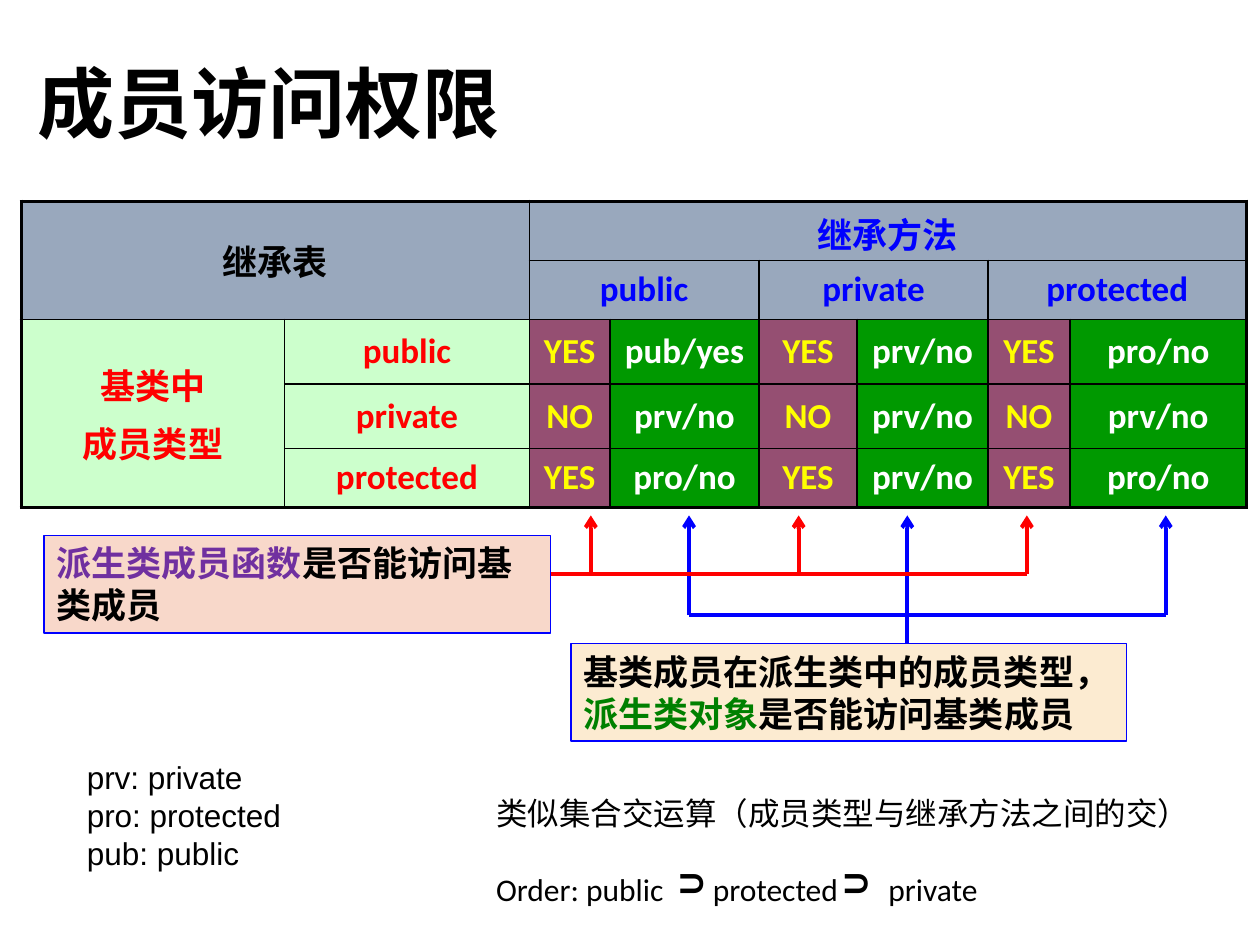
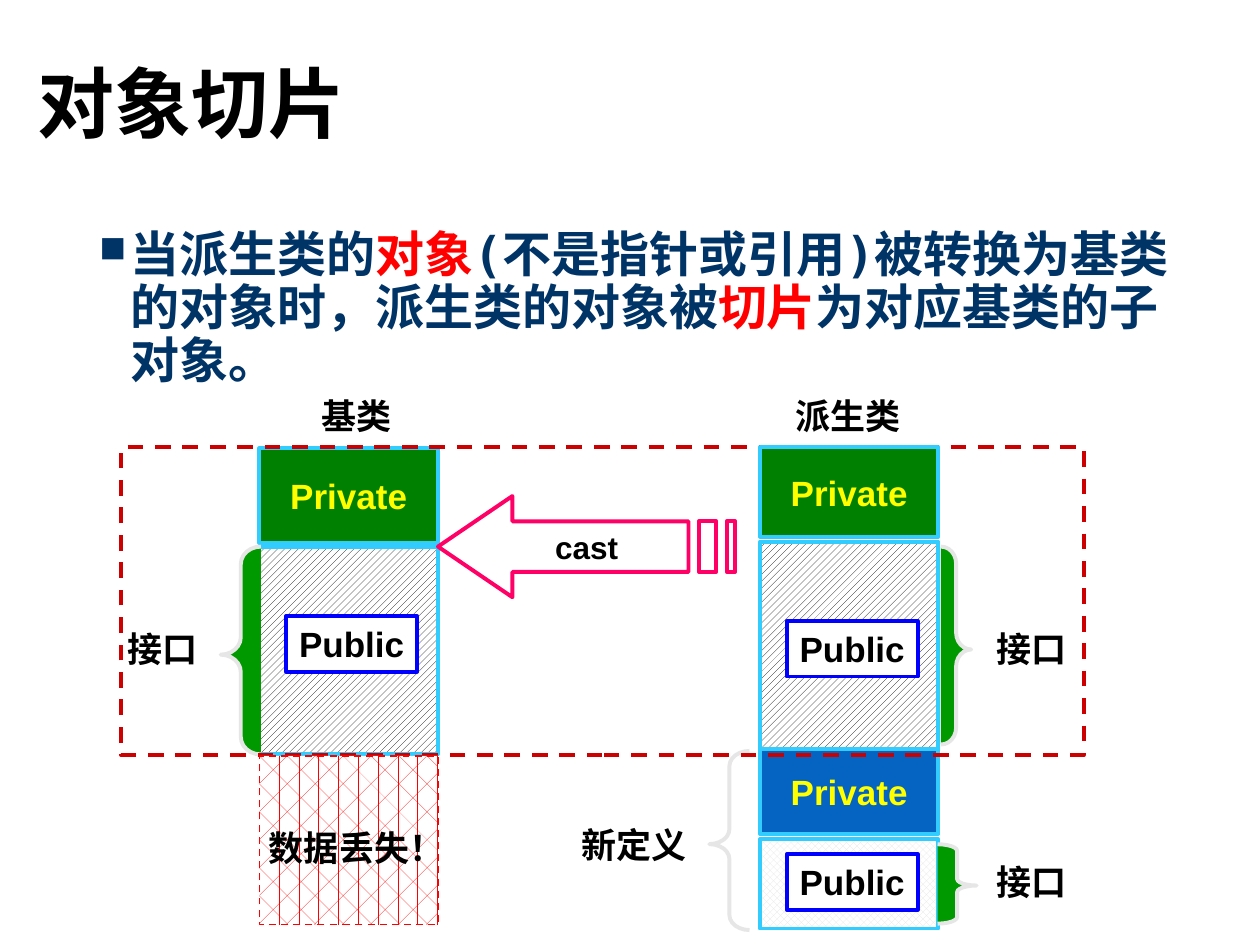
from lxml.etree import SubElement as Sub
from pptx import Presentation
from pptx.dml.color import RGBColor as Rgb
from pptx.enum.dml import MSO_LINE as Dash, MSO_PATTERN as Pat
from pptx.enum.shapes import MSO_CONNECTOR as Conn, MSO_SHAPE as Form
from pptx.enum.text import MSO_ANCHOR as Anchor, MSO_AUTO_SIZE as Auto, PP_ALIGN as Align
from pptx.oxml.ns import qn
from pptx.util import Cm, Pt

HUE = {
    "black": "000000", "white": "FFFFFF", "red": "FF0000", "blue": "0000FF",
    "yellow": "FFFF00", "navy": "003366", "purple": "7030A0", "leaf": "008000",
    "green": "009900", "mint": "CCFFCC", "slate": "99A8BD", "plum": "954F72",
    "rose": "F8D8CA", "cream": "FCEBD1", "sky": "33CCFF", "azure": "0563C1",
    "pink": "FF0066", "grey": "E7E6E6", "brick": "CC0000",
}
CJK = "Noto Sans CJK SC"
MONO = "DejaVu Sans Mono"


def hue(name):
    return Rgb.from_string(HUE[name])


def box(x, y, w, h):
    return Cm(x), Cm(y), Cm(w), Cm(h)


def style(run, font, size, color, bold, east=None):
    run.font.name, run.font.size, run.font.bold = font, Pt(size), bold
    run.font.color.rgb = hue(color)
    Sub(run._r.get_or_add_rPr(), qn("a:ea"), typeface=east or font)


def write(frame, lines, font="Arial", size=20, bold=True, align=Align.LEFT,
          gap=0, east=None):
    """Fill a frame; each line is a list of (words, colour) pieces."""
    for i, line in enumerate(lines):
        para = frame.add_paragraph() if i else frame.paragraphs[0]
        para.alignment = align
        if i and gap:
            para.space_before = Pt(gap)
        for words, color in line:
            run = para.add_run()
            run.text = words
            style(run, font, size, color, bold, east)


def note(slide, area, lines, wrap=True, **look):
    frame = slide.shapes.add_textbox(*box(*area)).text_frame
    frame.word_wrap = wrap
    write(frame, lines, **look)
    return frame


def label(slide, x, y, w, words):
    note(slide, (x, y, w, 1.12), [[(words, "black")]], wrap=False, align=Align.CENTER)


def paint(shape, fill, line, width):
    shape.shadow.inherit = False
    if fill is None:
        shape.fill.background()
    elif isinstance(fill, tuple):
        shape.fill.patterned()
        shape.fill.pattern = fill[0]
        shape.fill.fore_color.rgb, shape.fill.back_color.rgb = hue(fill[1]), hue("white")
    else:
        shape.fill.solid()
        shape.fill.fore_color.rgb = hue(fill)
    shape.line.color.rgb = hue(line)
    shape.line.width = Pt(width)


def block(slide, area, fill, line, width=2.25, form=Form.RECTANGLE):
    shape = slide.shapes.add_shape(form, *box(*area))
    paint(shape, fill, line, width)
    return shape


def title(slide, words):
    frame = note(slide, (0.51, 0.33, 21.89, 3.68), [[(words, "black")]], font=CJK, size=44)
    frame.vertical_anchor = Anchor.MIDDLE
    frame.paragraphs[0].line_spacing = 0.9


# Access rights

COLS = [5.31, 4.93, 1.63, 3, 1.98, 2.64, 1.65, 3.56]
ROWS = [1.19, 1.19, 1.3, 1.3, 1.19]
KINDS = ["public", "private", "protected"]
RIGHTS = [
    ["YES", "pub/yes", "YES", "prv/no", "YES", "pro/no"],
    ["NO", "prv/no", "NO", "prv/no", "NO", "prv/no"],
    ["YES", "pro/no", "YES", "prv/no", "YES", "pro/no"],
]


def edge(cell, row, col):
    """Border a cell: heavy on the rim of the table, thin inside."""
    wide = cell.span_width if cell.is_merge_origin else 1
    high = cell.span_height if cell.is_merge_origin else 1
    rim = {"L": col == 0, "R": col + wide == len(COLS),
           "T": row == 0, "B": row + high == len(ROWS)}
    for side, heavy in rim.items():
        line = Sub(cell._tc.get_or_add_tcPr(), qn("a:ln" + side),
                   w=str(Pt(2.25 if heavy else 1)))
        Sub(Sub(line, qn("a:solidFill")), qn("a:srgbClr"), val=HUE["black"])


def tone(row, col):
    """Fill and text colour of a cell."""
    if row < 2:
        return "slate", "black" if col < 2 else "blue"
    if col < 2:
        return "mint", "red"
    return ("green", "white") if col % 2 else ("plum", "yellow")


def rights(slide, x, y):
    grid = slide.shapes.add_table(
        len(ROWS), len(COLS), *box(x, y, sum(COLS), sum(ROWS))).table
    grid.first_row = grid.horz_banding = False
    for col, wide in zip(grid.columns, COLS):
        col.width = Cm(wide)
    for row, high in zip(grid.rows, ROWS):
        row.height = Cm(high)

    words = {(0, 0): "继承表", (0, 2): "继承方法", (2, 0): "基类中\n成员类型"}
    spans = [(0, 0, 1, 1), (0, 2, 0, 7), (2, 0, 4, 0)]
    for i, kind in enumerate(KINDS):
        words[1, 2 + 2 * i] = words[2 + i, 1] = kind
        spans.append((1, 2 + 2 * i, 1, 3 + 2 * i))
        for j, right in enumerate(RIGHTS[i]):
            words[2 + i, 2 + j] = right
    for top, left, low, right in spans:
        grid.cell(top, left).merge(grid.cell(low, right))

    for row in range(len(ROWS)):
        for col in range(len(COLS)):
            cell = grid.cell(row, col)
            fill, ink = tone(row, col)
            edge(cell, row, col)
            cell.fill.solid()
            cell.fill.fore_color.rgb = hue(fill)
            cell.vertical_anchor = Anchor.MIDDLE
            if (row, col) in words:
                lines = [[(part, ink)] for part in words[row, col].split("\n")]
                write(cell.text_frame, lines, font="Calibri", align=Align.CENTER,
                      gap=4, east=CJK)


def link(slide, x1, y1, x2, y2, color, tip=False):
    line = slide.shapes.add_connector(Conn.STRAIGHT, Cm(x1), Cm(y1), Cm(x2), Cm(y2))
    line.line.color.rgb = hue(color)
    line.line.width = Pt(2.25)
    if tip:
        Sub(line.line._get_or_add_ln(), qn("a:tailEnd"), type="arrow")
    Sub(line._element.spPr, qn("a:effectLst"))


def rake(slide, start, tips, top, base, color):
    """A bar from start to the last tip, with an arrow up at each tip."""
    for x in tips:
        link(slide, x, base, x, top, color, True)
    link(slide, start, base, tips[-1], base, color)


def callout(slide, area, fill, lines, font, wrap):
    frame = block(slide, area, fill, "blue", 0.75).text_frame
    frame.word_wrap = wrap
    frame.vertical_anchor = Anchor.TOP
    frame.auto_size = Auto.SHAPE_TO_FIT_TEXT
    write(frame, lines, font=font)


def legend(slide, x, y):
    terms = ["prv: private", "pro: protected", "pub: public"]
    note(slide, (x, y, 6.4, 2.57), [[(term, "black")] for term in terms],
         size=18, bold=False)


def order(slide, x, y):
    lines = [[("类似集合交运算（成员类型与继承方法之间的交）", "black")],
             [("Order: public\tprotected\tprivate", "black")]]
    frame = note(slide, (x, y, 14.76, 2.57), lines, font="Calibri", size=18,
                 bold=False, gap=22)
    tabs = Sub(frame.paragraphs[1]._p.get_or_add_pPr(), qn("a:tabLst"))
    for stop in (4.37, 7.91):
        Sub(tabs, qn("a:tab"), pos=str(Cm(stop)), algn="l")
    for dx in (6.91, 3.59):
        sign = slide.shapes.add_textbox(*box(x + dx, y + 1.72, 1.37, 0.71))
        sign.rotation = 180
        sign.text_frame.word_wrap = False
        sign._element.txBody.bodyPr.set("vert", "eaVert")
        write(sign.text_frame, [[("U", "black")]], font="Calibri")


def access(slide):
    title(slide, "成员访问权限")
    rights(slide, 0.43, 4.06)
    top = 10.39
    callout(slide, (0.89, 10.8, 10.21, 1.96), "rose",
            [[("派生类成员函数", "purple"), ("是否能访问基类成员", "black")]], "Arial", True)
    callout(slide, (11.51, 12.98, 11.2, 1.96), "cream",
            [[("基类成员在派生类中的成员类型，", "black")],
             [("派生类对象", "leaf"), ("是否能访问基类成员", "black")]], "Calibri", False)
    rake(slide, 13.89, [13.89, 18.29, 23.5], top, 12.4, "blue")
    link(slide, 18.29, 12.98, 18.29, 12.4, "blue")
    rake(slide, 11.1, [11.91, 16.1, 20.7], top, 11.58, "red")
    legend(slide, 1.5, 15.16)
    order(slide, 9.75, 15.88)


# Object slicing

WIDE = 3.6
HATCH = (Pat.WIDE_UPWARD_DIAGONAL, "black")
GEM = (Pat.SOLID_DIAMOND, "grey")


def rule(slide, x, y):
    pieces = [("当派生类的", "navy"), ("对象", "red"),
              ("(不是指针或引用)被转换为基类的对象时，派生类的对象被", "navy"),
              ("切片", "red"), ("为对应基类的子对象。", "navy")]
    frame = note(slide, (x, y, 22.76, 13.18), [pieces], font=MONO, size=28)
    para = frame.paragraphs[0]
    para.line_spacing = 0.9
    props = para._p.get_or_add_pPr()
    props.set("marL", str(Cm(0.64)))
    props.set("indent", str(-Cm(0.64)))
    Sub(props, qn("a:buSzPct"), val="75000")
    Sub(props, qn("a:buChar"), char="■")


def private(slide, x, y, h, fill):
    frame = block(slide, (x, y, WIDE, h), fill, "sky").text_frame
    frame.vertical_anchor = Anchor.MIDDLE
    write(frame, [[("Private", "yellow")]], align=Align.CENTER)


def public(slide, x, y, h, fill, dy):
    block(slide, (x, y, WIDE, h), fill, "sky")
    tag = block(slide, (x + 0.54, y + dy, 2.64, 1.12), "white", "blue")
    tag.text_frame.word_wrap = False
    write(tag.text_frame, [[("Public", "black")]], align=Align.CENTER)


def brace(slide, area, form, curl, fill="green"):
    shape = block(slide, area, fill, "grey", form=form)
    shape.adjustments[0], shape.adjustments[1] = curl, 0.52


def bar(x1, x2, y1, y2):
    return [(x1, y1), (x2, y1), (x2, y2), (x1, y2)]


def cast(slide, x, y):
    """A left arrow with its tip at x, y and two bars trailing it."""
    head = [(0, 0), (1.5, -1.02), (1.5, -0.51), (5.05, -0.51),
            (5.05, 0.51), (1.5, 0.51), (1.5, 1.02)]
    parts = [head, bar(5.26, 5.61, -0.51, 0.51), bar(5.82, 5.99, -0.51, 0.51)]
    pen = None
    for part in parts:
        dots = [(Cm(x + dx), Cm(y + dy)) for dx, dy in part]
        if pen:
            pen.move_to(*dots[0])
        else:
            pen = slide.shapes.build_freeform(*dots[0])
        pen.add_line_segments(dots[1:], close=True)
    arrow = pen.convert_to_shape()
    paint(arrow, None, "pink", 2.25)
    arrow.text_frame.vertical_anchor = Anchor.MIDDLE
    write(arrow.text_frame, [[("cast", "black")]], size=18, align=Align.CENTER)


def base(slide, x, y):
    label(slide, x + 0.99, y - 1.2, 1.93, "基类")
    public(slide, x, y + 2, 4.19, HATCH, 1.4)
    private(slide, x, y + 0.02, 1.9, "leaf")
    brace(slide, (x - 0.78, y + 2, 0.81, 4.19), Form.LEFT_BRACE, 0.436)
    label(slide, x - 2.92, y + 3.5, 1.93, "接口")


def derived(slide, x, y):
    label(slide, x + 0.45, y - 1.2, 2.64, "派生类")
    public(slide, x, y + 1.9, 4.19, HATCH, 1.6)
    public(slide, x, y + 7.9, 1.8, GEM, 0.3)
    private(slide, x, y + 6.09, 1.7, "azure")
    brace(slide, (x - 1.02, y + 6.12, 0.81, 3.61), Form.LEFT_BRACE, 0.374, None)
    label(slide, x - 3.86, y + 7.46, 2.64, "新定义")
    brace(slide, (x + 3.65, y + 2, 0.61, 3.99), Form.RIGHT_BRACE, 0.556)
    brace(slide, (x + 3.58, y + 8, 0.79, 1.6), Form.RIGHT_BRACE, 0.167)
    for dy in (3.5, 8.2):
        label(slide, x + 4.52, y + dy, 1.93, "接口")


def lost(slide, x, y):
    area = block(slide, (x, y, WIDE, 3.4), (Pat.DIVOT, "red"), "red", 1)
    area.line.dash_style = Dash.DASH
    label(slide, x - 0.07, y + 1.3, 4.06, "数据丢失！")


def slicing(slide):
    title(slide, "对象切片")
    rule(slide, 1.75, 4.52)
    left, right, top = 5.23, 15.32, 9.02
    base(slide, left, top)
    derived(slide, right, top)
    cast(slide, left + WIDE, 11.02)
    kept = block(slide, (2.44, top, 19.41, 6.2), None, "brick")
    kept.line.dash_style = Dash.DASH
    lost(slide, left, 15.24)
    private(slide, right, top, 1.8, "leaf")


def main():
    deck = Presentation()
    deck.slide_width, deck.slide_height = Cm(25.4), Cm(19.05)
    for draw in (access, slicing):
        draw(deck.slides.add_slide(deck.slide_layouts[6]))
    deck.save("out.pptx")


if __name__ == "__main__":
    main()
